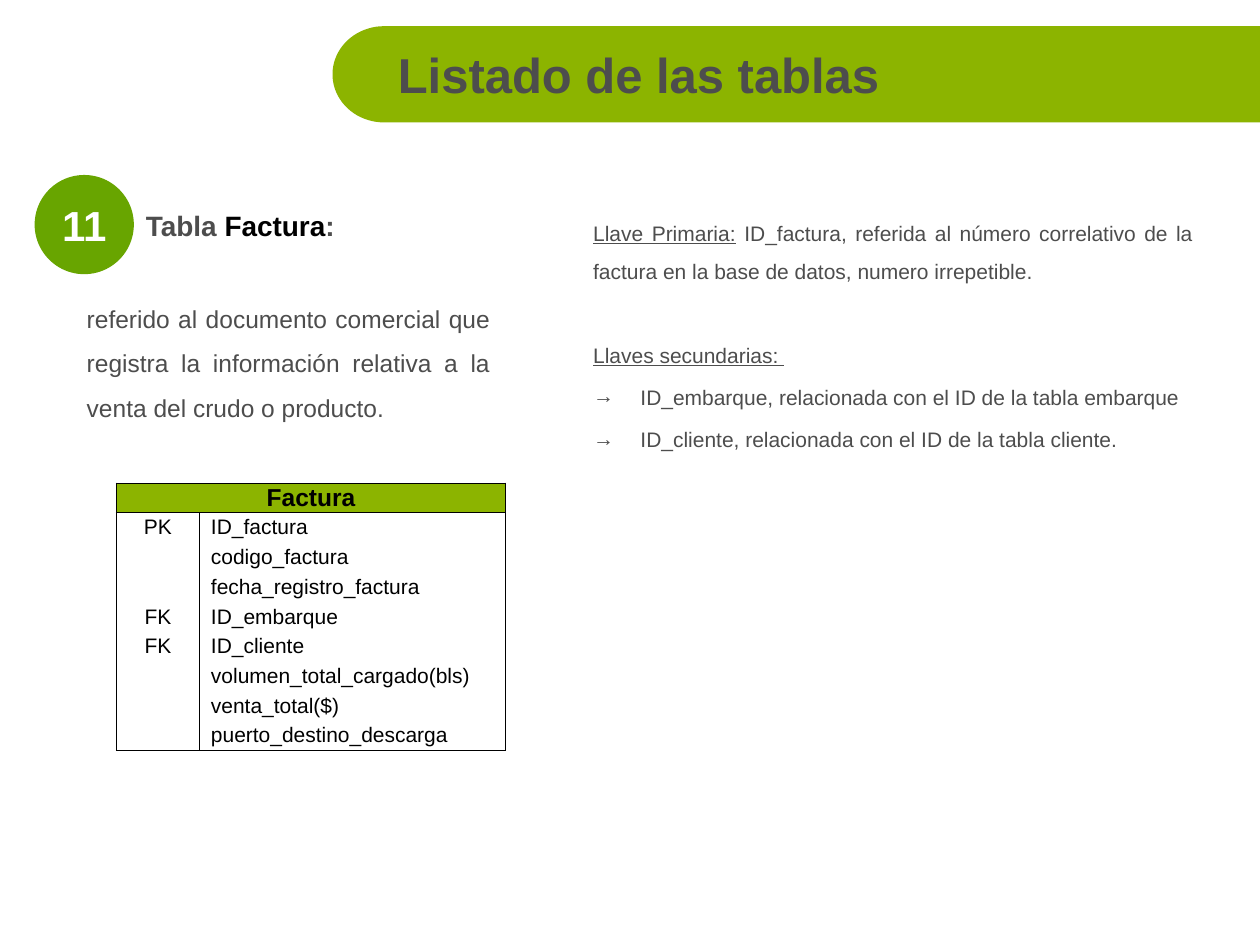
from math import cos, pi, sin

from lxml import etree
from pptx import Presentation
from pptx.dml.color import RGBColor
from pptx.enum.shapes import MSO_SHAPE
from pptx.enum.text import MSO_ANCHOR, PP_ALIGN
from pptx.oxml.ns import qn
from pptx.util import Pt

OVAL = MSO_SHAPE.OVAL
TOP, MIDDLE = MSO_ANCHOR.TOP, MSO_ANCHOR.MIDDLE
LEFT, CENTER, JUSTIFY = PP_ALIGN.LEFT, PP_ALIGN.CENTER, PP_ALIGN.JUSTIFY
COLORS = {"lime": "8CB400", "green": "68A500", "gray": "4D4D4D",
          "black": "000000", "white": "FFFFFF"}
FIELDS = [("PK", "ID_factura"), ("", "codigo_factura"),
          ("", "fecha_registro_factura"), ("FK", "ID_embarque"),
          ("FK", "ID_cliente"), ("", "volumen_total_cargado(bls)"),
          ("", "venta_total($)"), ("", "puerto_destino_descarga")]


def write(para, text, size=12, color="gray", bold=False, under=False):
    run = para.add_run()
    run.text = text
    font = run.font
    font.name, font.size, font.bold = "Arial", Pt(size), bold
    font.underline = under
    font.color.rgb = RGBColor.from_string(COLORS[color])


class Page:
    """Draws styled elements on one slide."""

    def __init__(self, slide):
        self.slide = slide
        self.shapes = slide.shapes

    def paint(self, shape, color):
        shape.shadow.inherit = False
        shape.fill.solid()
        shape.fill.fore_color.rgb = RGBColor.from_string(COLORS[color])
        shape.line.fill.background()

    def banner(self, left, top, right, height, curve, color):
        half, steps = height / 2, 40
        turns = [pi / 2 + pi * i / steps for i in range(steps + 1)]
        arc = [(left + curve + curve * cos(t), top + half + half * sin(t))
               for t in turns]
        points = [(Pt(x), Pt(y)) for x, y in
                  [(right, top), (right, top + height)] + arc]
        form = self.shapes.build_freeform(*points[0])
        form.add_line_segments(points[1:], close=True)
        self.paint(form.convert_to_shape(), color)

    def oval(self, left, top, size, color):
        shape = self.shapes.add_shape(OVAL, Pt(left), Pt(top), Pt(size), Pt(size))
        self.paint(shape, color)

    def text(self, box, paras, anchor=TOP, align=LEFT, spacing=1.0):
        frame = self.shapes.add_textbox(*map(Pt, box)).text_frame
        frame.word_wrap, frame.vertical_anchor = True, anchor
        for i, (runs, gap, bullet) in enumerate(paras):
            para = frame.add_paragraph() if i else frame.paragraphs[0]
            para.alignment, para.line_spacing = align, spacing
            if gap:
                para.space_before = Pt(gap)
            if bullet:
                self.bullet(para, bullet)
            for text, style in runs:
                write(para, text, **style)

    def bullet(self, para, mark, indent=27):
        props = para._p.get_or_add_pPr()
        props.set("marL", str(Pt(indent)))
        props.set("indent", str(-Pt(indent)))
        etree.SubElement(props, qn("a:buFont")).set("typeface", "Arial")
        etree.SubElement(props, qn("a:buChar")).set("char", mark)

    def edges(self, cell, sides):
        props = cell._tc.get_or_add_tcPr()
        for side in "LRTB":
            line = etree.SubElement(props, qn("a:ln" + side), w=str(Pt(0.5)))
            if side in sides:
                fill = etree.SubElement(line, qn("a:solidFill"))
                etree.SubElement(fill, qn("a:srgbClr"), val=COLORS["black"])
            else:
                etree.SubElement(line, qn("a:noFill"))

    def cell(self, cell, text, sides, align=LEFT, inset=0, fill=None, **style):
        cell.margin_left = Pt(inset)
        cell.margin_right = cell.margin_top = cell.margin_bottom = 0
        cell.vertical_anchor = MIDDLE
        self.edges(cell, sides)
        if fill:
            cell.fill.solid()
            cell.fill.fore_color.rgb = RGBColor.from_string(COLORS[fill])
        else:
            cell.fill.background()
        para = cell.text_frame.paragraphs[0]
        para.alignment = align
        if text:
            write(para, text, color="black", **style)
        else:
            para._p.get_or_add_endParaRPr().set("sz", "1200")

    def table(self, left, top, widths, row, title, fields):
        count = len(fields) + 1
        grid = self.shapes.add_table(count, 2, Pt(left), Pt(top),
                                     Pt(sum(widths)), Pt(row * count)).table
        grid.first_row = grid.horz_banding = False
        for col, width in zip(grid.columns, widths):
            col.width = Pt(width)
        for line in grid.rows:
            line.height = Pt(row)
        grid.cell(0, 0).merge(grid.cell(0, 1))
        self.cell(grid.cell(0, 0), title, "LRTB", CENTER, fill="lime",
                  size=14, bold=True)
        self.edges(grid.cell(0, 1), "LRTB")
        for i, (key, name) in enumerate(fields, 1):
            sides = "LR" + "T" * (i == 1) + "B" * (i == len(fields))
            self.cell(grid.cell(i, 0), key, sides, CENTER)
            self.cell(grid.cell(i, 1), name, sides, inset=6.6)


def main():
    deck = Presentation()
    deck.slide_width, deck.slide_height = Pt(720), Pt(540)
    page = Page(deck.slides.add_slide(deck.slide_layouts[6]))
    head = {"size": 16, "bold": True}
    under = {"under": True}

    page.banner(190, 15, 720, 55, 29.5, "lime")
    page.text((220.3, 19.5, 499.7, 45.4),
              [([("Listado de las tablas", {"size": 28, "bold": True})], 0, "")],
              MIDDLE)
    page.text((331.9, 115.2, 357.1, 187.2), [
        ([("Llave Primaria:", under),
          (" ID_factura, referida al número correlativo de la factura "
           "en la base de datos, numero irrepetible. ", {})], 0, ""),
        ([("Llaves secundarias: ", under)], 26.4, ""),
        ([("ID_embarque, relacionada con el ID de la tabla embarque", {})], 2.4, "→"),
        ([("ID_cliente, relacionada con el ID de la tabla cliente.", {})], 2.4, "→"),
    ], align=JUSTIFY, spacing=1.5)
    page.text((76.3, 115.2, 221, 26.6),
              [([("Tabla ", head), ("Factura", {**head, "color": "black"}),
                 (":", head)], 0, "")], MIDDLE)
    page.text((42.5, 162, 244.8, 79.2),
              [([("referido al documento comercial que registra la información "
                  "relativa a la venta del crudo o producto.", {"size": 14})], 0, "")],
              align=JUSTIFY, spacing=1.5)
    page.oval(19.8, 100, 56.7, "green")
    page.text((19.8, 110.2, 56.7, 36),
              [([("11", {"size": 24, "color": "white", "bold": True})], 0, "")],
              MIDDLE, CENTER)
    page.table(66.5, 276, (47.5, 175), 17, "Factura", FIELDS)
    deck.save("out.pptx")


if __name__ == "__main__":
    main()
